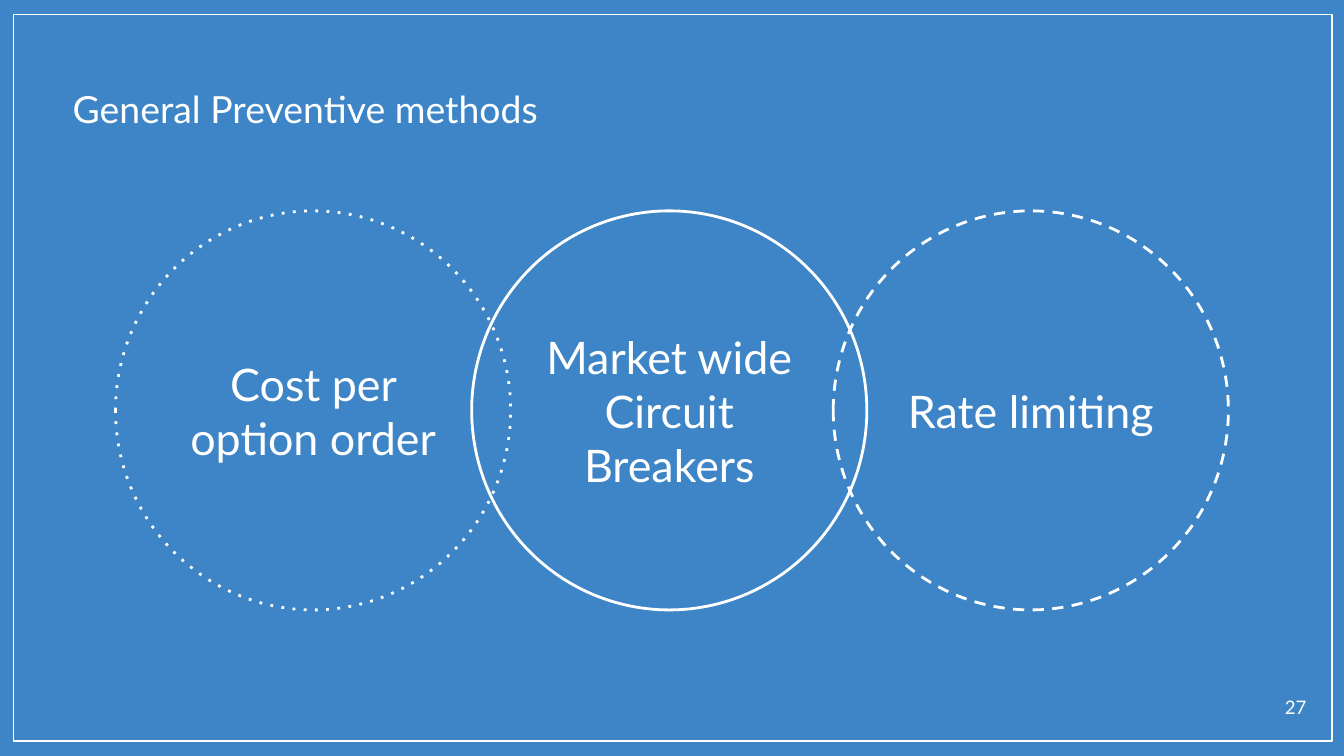
import pptx
import pptx.dml.color
import pptx.enum.shapes
import pptx.enum.text
import pptx.oxml.ns
import pptx.util
from lxml import etree

Pt = pptx.util.Pt
ALIGN = pptx.enum.text.PP_ALIGN
ANCHOR = pptx.enum.text.MSO_ANCHOR
SHAPE = pptx.enum.shapes.MSO_SHAPE

BLUE = "3D85C6"
WHITE = "FFFFFF"
FONT = "Lato"

TITLE = "General Preventive methods"
PAGE_NUMBER = "27"
METHODS = [
    {"left": 252.7, "dash": "solid", "lines": ["Market wide", "Circuit", "Breakers"]},
    {"left": 61.9, "dash": "dot", "lines": ["Cost per option order"]},
    {"left": 446.4, "dash": "dash", "lines": ["Rate limiting"]},
]
CIRCLE_TOP, CIRCLE_WIDTH, CIRCLE_HEIGHT = 113, 211.7, 213.8


def color(value):
    return pptx.dml.color.RGBColor.from_string(value)


def box(left, top, width, height):
    return Pt(left), Pt(top), Pt(width), Pt(height)


def write(shape, lines, size=24, align=ALIGN.LEFT, anchor=ANCHOR.TOP):
    frame = shape.text_frame
    frame.word_wrap = True
    frame.auto_size = pptx.enum.text.MSO_AUTO_SIZE.NONE
    frame.vertical_anchor = anchor
    frame.margin_left = frame.margin_right = Pt(7.2)
    frame.margin_top = frame.margin_bottom = Pt(7.2)
    frame.text = "\n".join(lines)
    for paragraph in frame.paragraphs:
        paragraph.alignment = align
        paragraph.font.name = FONT
        paragraph.font.size = Pt(size)
        paragraph.font.color.rgb = color(WHITE)


def add_outline(slide, kind, position, width, dash="solid"):
    shape = slide.shapes.add_shape(kind, *box(*position))
    shape.shadow.inherit = False
    shape.fill.background()
    shape.line.color.rgb = color(WHITE)
    shape.line.width = Pt(width)
    line = shape._element.spPr.find(pptx.oxml.ns.qn("a:ln"))
    etree.SubElement(line, pptx.oxml.ns.qn("a:prstDash"), val=dash)
    return shape


def main():
    presentation = pptx.Presentation()
    presentation.slide_width = Pt(720)
    presentation.slide_height = Pt(405)
    slide = presentation.slides.add_slide(presentation.slide_layouts[5])
    slide.background.fill.solid()
    slide.background.fill.fore_color.rgb = color(BLUE)

    add_outline(slide, SHAPE.RECTANGLE, (7.2, 7.7, 706.3, 389.4), 0.75)

    title = slide.shapes.title
    title.left, title.top, title.width, title.height = box(31.7, 38.9, 648, 32.4)
    write(title, [TITLE], size=20)

    for method in METHODS:
        position = (method["left"], CIRCLE_TOP, CIRCLE_WIDTH, CIRCLE_HEIGHT)
        circle = add_outline(slide, SHAPE.OVAL, position, 1.5, method["dash"])
        write(circle, method["lines"], align=ALIGN.CENTER, anchor=ANCHOR.MIDDLE)

    number = slide.shapes.add_textbox(*box(671, 365.8, 36, 23))
    write(number, [PAGE_NUMBER], size=10, align=ALIGN.RIGHT)

    presentation.save("out.pptx")


if __name__ == "__main__":
    main()
